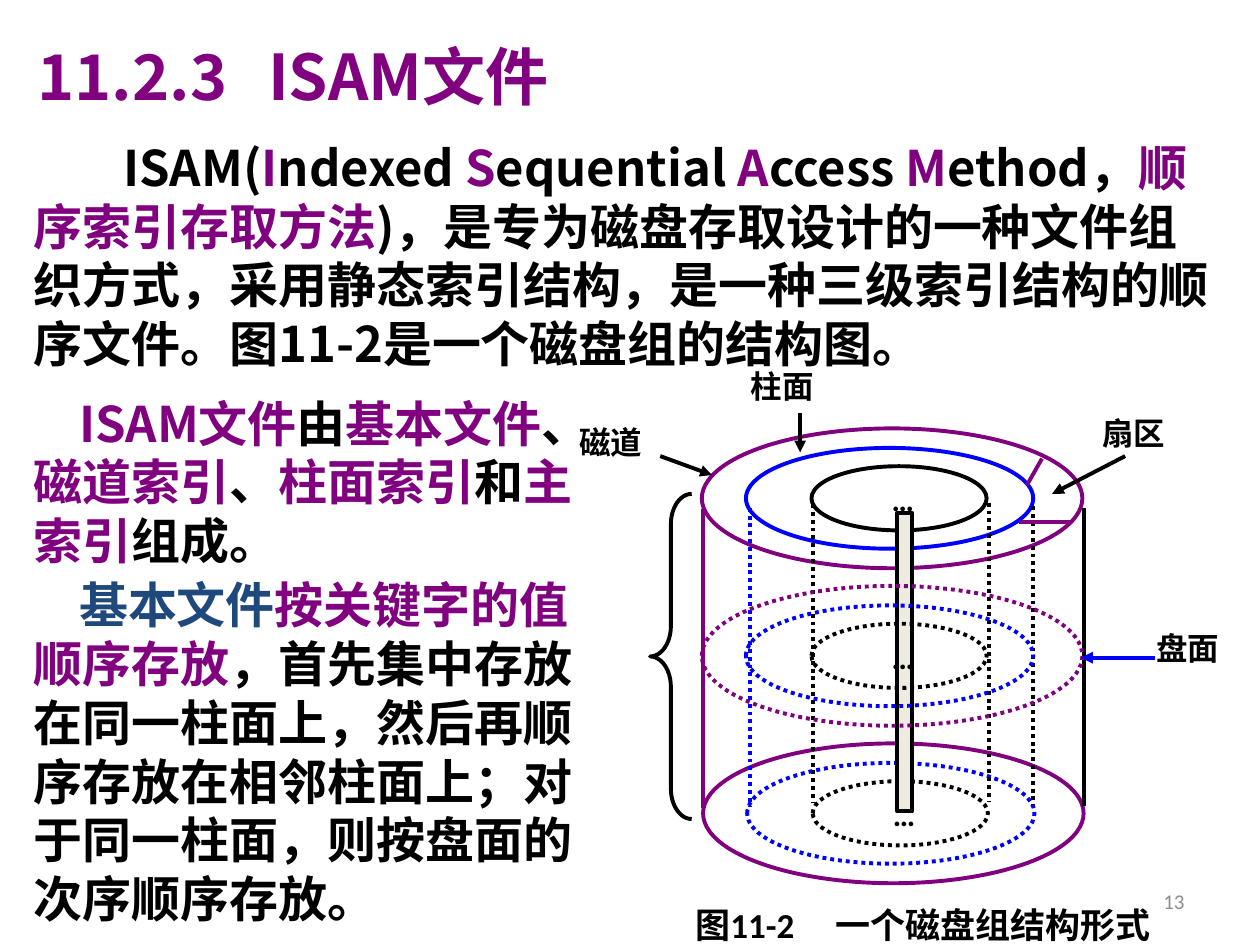
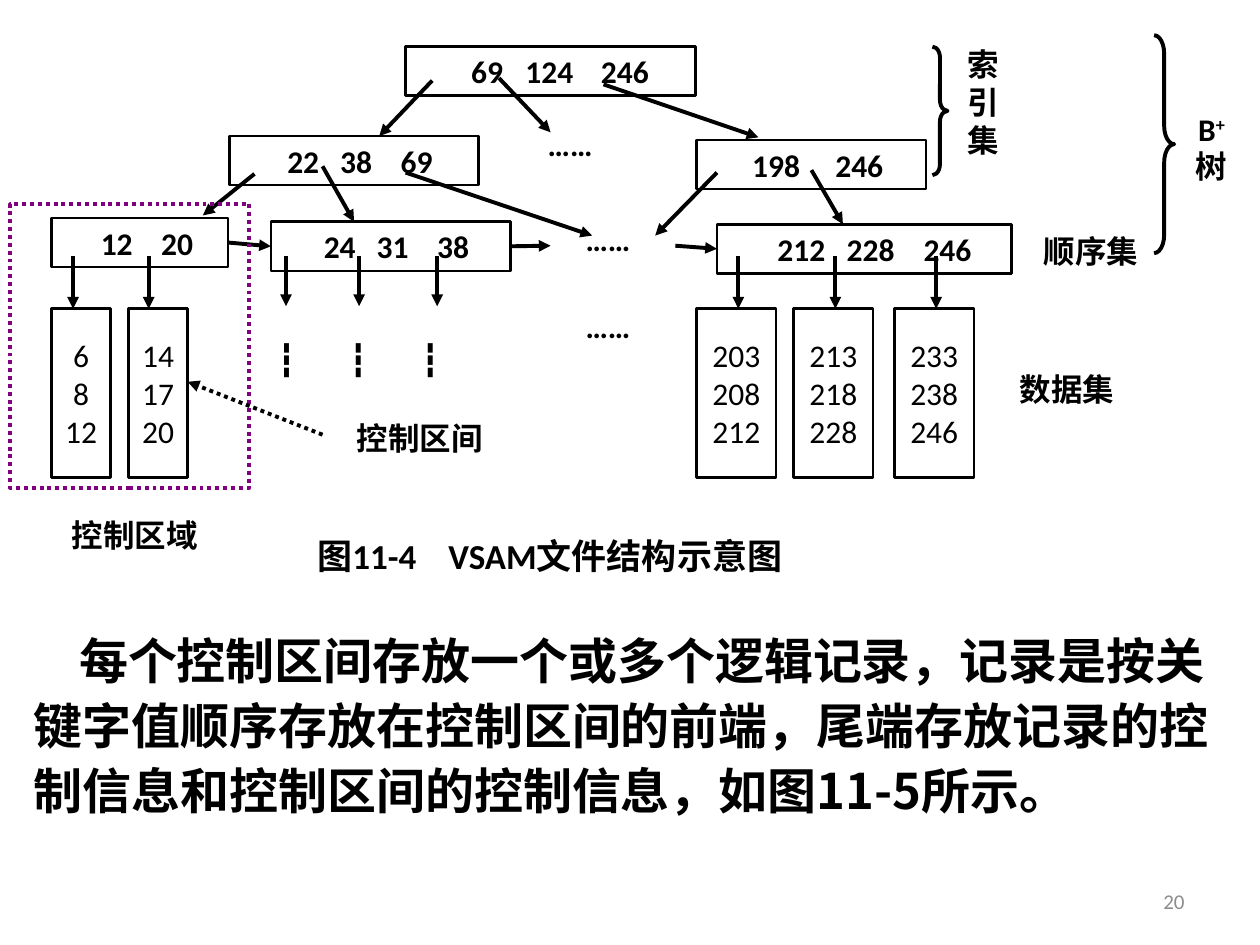
import pptx
import pptx.dml.color
import pptx.enum.dml
import pptx.enum.shapes
import pptx.enum.text
import pptx.oxml.ns
import pptx.util
from lxml import etree

COLOURS = {"black": "000000", "purple": "800080", "blue": "0000FF", "navy": "1F497D",
           "cream": "EEECE1", "grey": "8C8C8C", "white": "FFFFFF"}
COLUMNS, ROWS = 10, 7.5
WIDTH, HEIGHT = pptx.util.Inches(10), pptx.util.Inches(7.5)
SHAPES = pptx.enum.shapes.MSO_SHAPE
ALIGN = {"left": pptx.enum.text.PP_ALIGN.LEFT, "centre": pptx.enum.text.PP_ALIGN.CENTER,
         "right": pptx.enum.text.PP_ALIGN.RIGHT}
ANCHOR = {"top": pptx.enum.text.MSO_ANCHOR.TOP, "middle": pptx.enum.text.MSO_ANCHOR.MIDDLE}

LABEL = {"name": "Calibri", "size": 18, "bold": True}
PLAIN = {**LABEL, "bold": False}
CAPTION = {**LABEL, "size": 20}
TITLE = {"name": "Noto Sans CJK JP", "size": 36, "bold": True}
BODY = {"name": "Noto Sans CJK SC", "size": 28, "bold": True}
NUMBER = {**PLAIN, "size": 12}

NODE_HEIGHT, CELL_HEIGHT = 0.39, 1.34
TOP_RIM, LAYER_STEP = 3.4, 1.25


def across(columns):
    return round(WIDTH * columns / COLUMNS)


def down(rows):
    return round(HEIGHT * rows / ROWS)


def rgb(colour):
    return pptx.dml.color.RGBColor.from_string(COLOURS[colour])


def add_xml(parent, tag, **attributes):
    return etree.SubElement(parent, pptx.oxml.ns.qn(tag), **attributes)


def style_line(line, colour, width, dotted):
    line.color.rgb = rgb(colour)
    line.width = pptx.util.Pt(width)
    if dotted:
        line.dash_style = pptx.enum.dml.MSO_LINE.ROUND_DOT


def write_span(para, text, style, colour="black", raised=False):
    span = para.add_run()
    span.text = text
    font = span.font
    for key, value in {**style, "size": pptx.util.Pt(style["size"])}.items():
        setattr(font, key, value)
    font.color.rgb = rgb(colour)
    properties = span._r.get_or_add_rPr()
    add_xml(properties, "a:ea", typeface=style["name"])
    if raised:
        properties.set("baseline", "30000")


def write(box, paragraphs, style=LABEL, align="centre", anchor="middle", sides=0.0,
          top=0.05, tabs=(), first_line=0, spacing=None):
    """Fill a box; a paragraph is a string or a list of (text, colour, raised) spans."""
    frame = box.text_frame
    settings = {"word_wrap": True, "vertical_anchor": ANCHOR[anchor],
                "margin_left": across(sides), "margin_right": across(sides),
                "margin_top": down(top), "margin_bottom": down(0.05)}
    for key, value in settings.items():
        setattr(frame, key, value)
    for index, spans in enumerate(paragraphs):
        para = frame.paragraphs[0] if index == 0 else frame.add_paragraph()
        para.alignment = ALIGN[align]
        properties = para._p.get_or_add_pPr()
        if first_line:
            properties.set("marL", "0")
            properties.set("indent", str(across(first_line)))
        if tabs:
            stops = add_xml(properties, "a:tabLst")
            for stop in tabs:
                add_xml(stops, "a:tab", pos=str(across(stop)), algn="l")
        if spacing:
            para.line_spacing = pptx.util.Pt(spacing)
        if index and style is BODY:
            para.space_before = pptx.util.Pt(3)
        for span in [(spans,)] if isinstance(spans, str) else spans:
            write_span(para, span[0], style, *span[1:])


def add_text(page, place, *paragraphs, **options):
    left, top, width, height = place
    box = page.shapes.add_textbox(across(left), down(top), across(width), down(height))
    write(box, paragraphs, **options)


def add_body(page, place, *paragraphs, first_line, spacing):
    add_text(page, place, *paragraphs, style=BODY, align="left", anchor="top", sides=0.1,
             top=0.1, first_line=first_line, spacing=spacing)


def add_outline(page, kind, place, colour="black", width=2.25, dotted=False, fill=None):
    left, top, wide, high = place
    shape = page.shapes.add_shape(kind, across(left), down(top), across(wide), down(high))
    shape.shadow.inherit = False
    if fill:
        shape.fill.solid()
        shape.fill.fore_color.rgb = rgb(fill)
    else:
        shape.fill.background()
    style_line(shape.line, colour, width, dotted)
    return shape


def add_brace(page, kind, place, curl):
    brace = add_outline(page, kind, place)
    brace.adjustments[0] = curl


def add_line(page, start, end, colour="black", dotted=False, arrow=False,
             source=None, target=None):
    """Draw a line; source and target are (shape, side) pairs to join."""
    line = page.shapes.add_connector(
        pptx.enum.shapes.MSO_CONNECTOR.STRAIGHT,
        across(start[0]), down(start[1]), across(end[0]), down(end[1]))
    if source:
        line.begin_connect(*source)
    if target:
        line.end_connect(*target)
    style_line(line.line, colour, 2.25, dotted)
    if arrow:
        add_xml(line.line._get_or_add_ln(), "a:tailEnd", type="triangle")
    add_xml(line._element.spPr, "a:effectLst")


def add_page_number(page, number):
    add_text(page, (7.17, 6.95, 2.33, 0.4), [(number, "grey")], style=NUMBER,
             align="right", sides=0.1)


def add_platter(page, left, top, dotted):
    """Three rings, outermost first, and the dots in their middle."""
    rings = [("purple", 0, 3.02, 1.11), ("blue", 0.35, 2.28, 0.8), ("black", 0.87, 1.39, 0.51)]
    for (colour, inset, width, height), dots in zip(rings, dotted):
        place = (left + inset, top + (1.11 - height) / 2, width, height)
        add_outline(page, SHAPES.OVAL, place, colour, dotted=dots)
    add_text(page, (left + 1.31, top + 0.45, 0.57, 0.22), "…")


def add_disk_pack(page):
    add_platter(page, 5.57, TOP_RIM, (False, False, False))
    add_platter(page, 5.58, TOP_RIM + 2 * LAYER_STEP, (False, True, True))
    walls = [(5.58, 4.04, "purple", False), (8.6, 4.03, "black", False),
             (5.95, 4.03, "blue", True), (8.2, 4.02, "black", True),
             (6.45, 4, "black", True), (7.85, 3.99, "black", True)]
    for x, top, colour, dotted in walls:
        add_line(page, (x, top), (x, top + 2.37), colour, dotted)
    add_outline(page, SHAPES.RECTANGLE, (7.12, 4.07, 0.12, 2.37), fill="cream")
    add_platter(page, 5.57, TOP_RIM + LAYER_STEP, (True, True, True))
    for start, end in [((8.27, 3.64), (8.15, 3.85)), ((8.09, 4.14), (8.5, 4.14))]:
        add_line(page, start, end, "purple")
    add_brace(page, SHAPES.LEFT_BRACE, (5.16, 3.92, 0.33, 2.58), 0.73)

    callouts = [("磁道", 4.5, 3.33, (5.24, 3.62), (5.65, 3.77), "black"),
                ("扇区", 8.65, 3.26, (8.93, 3.62), (8.35, 3.92), "black"),
                ("柱面", 5.86, 2.89, (6.35, 3.28), (6.35, 3.59), "black"),
                ("盘面", 9.08, 4.97, (9.17, 5.22), (8.58, 5.22), "blue")]
    for text, left, top, start, end, colour in callouts:
        add_text(page, (left, top, 0.85, 0.35), text, align="left", sides=0.1)
        add_line(page, start, end, colour, arrow=True)
    add_text(page, (5.42, 7.14, 4.2, 0.39), "图11-2\t一个磁盘组结构形式", style=CAPTION,
             align="left", sides=0.1, tabs=[1.11])


def add_node(page, left, top, width, keys):
    """An index node; keys maps each key to its distance from the node's left side."""
    node = add_outline(page, SHAPES.RECTANGLE, (left, top, width, NODE_HEIGHT), width=1.5)
    first, *others = keys.values()
    write(node, ["\t".join(keys)], align="left", tabs=[x - first for x in others])
    node.text_frame.margin_left = across(first)
    return node


def add_index_tree(page):
    add_node(page, 3.22, 0.37, 2.3, {"69": 0.52, "124": 0.95, "246": 1.55})
    add_node(page, 1.82, 1.08, 1.98, {"22": 0.46, "38": 0.88, "69": 1.36})
    add_node(page, 5.53, 1.11, 1.82, {"198": 0.44, "246": 1.1})
    first_leaf = add_node(page, 0.41, 1.73, 1.4, {"12": 0.39, "20": 0.87})
    second_leaf = add_node(page, 2.15, 1.76, 1.9, {"24": 0.42, "31": 0.84, "38": 1.32})
    last_leaf = add_node(page, 5.69, 1.78, 2.34, {"212": 0.48, "228": 1.03, "246": 1.64})

    branches = [((3.43, 0.64), (3.01, 1.08)), ((3.96, 0.62), (4.37, 1.05)),
                ((4.79, 0.67), (6.02, 1.09)), ((2.02, 1.38), (1.61, 1.71)),
                ((2.56, 1.32), (2.81, 1.76)), ((3.22, 1.37), (4.7, 1.87)),
                ((6.44, 1.35), (6.69, 1.78)), ((5.69, 1.37), (5.2, 1.87))]
    for start, end in branches:
        add_line(page, start, end, arrow=True)
    add_line(page, (1.81, 1.95), (2.15, 1.95), arrow=True,
             source=(first_leaf, 3), target=(second_leaf, 1))
    add_line(page, (4.05, 1.95), (4.37, 1.95), arrow=True, source=(second_leaf, 3))
    add_line(page, (5.36, 1.95), (5.69, 1.95), arrow=True, target=(last_leaf, 1))
    for left, top in [(3.99, 0.95), (4.29, 1.7), (4.29, 2.39)]:
        add_text(page, (left, top, 1.07, 0.39), "……")


def add_data_set(page):
    intervals = [(0.41, 0.47, 0.58, "6 8 12"), (1.02, 0.47, 1.18, "14 17 20"),
                 (5.53, 0.63, 5.86, "203 208 212"), (6.3, 0.63, 6.63, "213 218 228"),
                 (7.1, 0.63, 7.43, "233 238 246")]
    for left, width, arrow_x, records in intervals:
        cell = add_outline(page, SHAPES.RECTANGLE, (left, 2.45, width, CELL_HEIGHT), width=1.5)
        write(cell, records.split(), style=PLAIN)
        add_line(page, (arrow_x, 2.03), (arrow_x, 2.45), arrow=True)
    for index, arrow_x in enumerate([2.27, 2.85, 3.47]):
        add_line(page, (arrow_x, 2.03), (arrow_x, 2.43), arrow=True)
        add_text(page, (2.06 + 0.57 * index, 2.45, 0.43, 0.79), "┇")
    add_outline(page, SHAPES.RECTANGLE, (0.08, 1.62, 1.9, 2.25), "purple", dotted=True)
    add_line(page, (2.56, 3.45), (1.49, 3.03), dotted=True, arrow=True)


def add_tree_labels(page):
    labels = [((2.62, 3.26, 1.42, 0.43), ["控制区间"]), ((0.36, 4.03, 1.42, 0.43), ["控制区域"]),
              ((7.57, 0.2, 0.47, 1.22), list("索引集")), ((8.07, 1.78, 1.18, 0.43), ["顺序集"]),
              ((7.92, 2.87, 1.1, 0.43), ["数据集"]),
              ((9.36, 0.7, 0.51, 0.94), [[("B",), ("+", "black", True)], "树"])]
    for place, lines in labels:
        add_text(page, place, *lines)
    add_brace(page, SHAPES.RIGHT_BRACE, (7.4, 0.37, 0.12, 1.02), 0.72)
    add_brace(page, SHAPES.RIGHT_BRACE, (9.16, 0.28, 0.16, 1.73), 0.91)
    add_text(page, (2.42, 4.2, 4.2, 0.42), "图11-4\tVSAM文件结构示意图", style=CAPTION,
             align="left", sides=0.1, tabs=[1.04])


def build_isam(page):
    add_text(page, (0.2, 0.18, 6.06, 0.83), [("11.2.3\tISAM文件", "purple")], style=TITLE,
             align="left", sides=0.1, tabs=[1.83])
    add_body(page, (0.17, 0.99, 9.64, 1.97), [
        ("ISAM(",), ("I", "purple"), ("ndexed ",), ("S", "purple"), ("equential ",),
        ("A", "purple"), ("ccess ",), ("M", "purple"), ("ethod，",),
        ("顺序索引存取方法", "purple"),
        (")，是专为磁盘存取设计的一种文件组织方式，采用静态索引结构，"
         "是一种三级索引结构的顺序文件。图11-2是一个磁盘组的结构图。",)],
        first_line=0.71, spacing=33.6)
    add_disk_pack(page)
    add_body(page, (0.17, 3.02, 4.58, 4.35), [
        ("ISAM文件", "purple"), ("由",), ("基本文件", "purple"), ("、",),
        ("磁道索引", "purple"), ("、",), ("柱面索引", "purple"), ("和",),
        ("主索引", "purple"), ("组成。",)], [
        ("基本文件", "navy"), ("按关键字的值顺序存放", "purple"),
        ("，首先集中存放在同一柱面上，然后再顺序存放在相邻柱面上；"
         "对于同一柱面，则按盘面的次序顺序存放。",)],
        first_line=0.36, spacing=33.6)
    add_page_number(page, "13")


def build_vsam(page):
    add_body(page, (0.17, 4.86, 9.64, 1.64),
             "每个控制区间存放一个或多个逻辑记录，记录是按关键字值顺序存放在控制区间的前端，"
             "尾端存放记录的控制信息和控制区间的控制信息，如图11-5所示。",
             first_line=0.36, spacing=37)
    add_index_tree(page)
    add_data_set(page)
    add_tree_labels(page)
    add_page_number(page, "20")


def main():
    deck = pptx.Presentation()
    deck.slide_width, deck.slide_height = WIDTH, HEIGHT
    for build in (build_isam, build_vsam):
        page = deck.slides.add_slide(deck.slide_layouts[6])
        page.background.fill.solid()
        page.background.fill.fore_color.rgb = rgb("white")
        build(page)
    deck.save("out.pptx")


if __name__ == "__main__":
    main()
